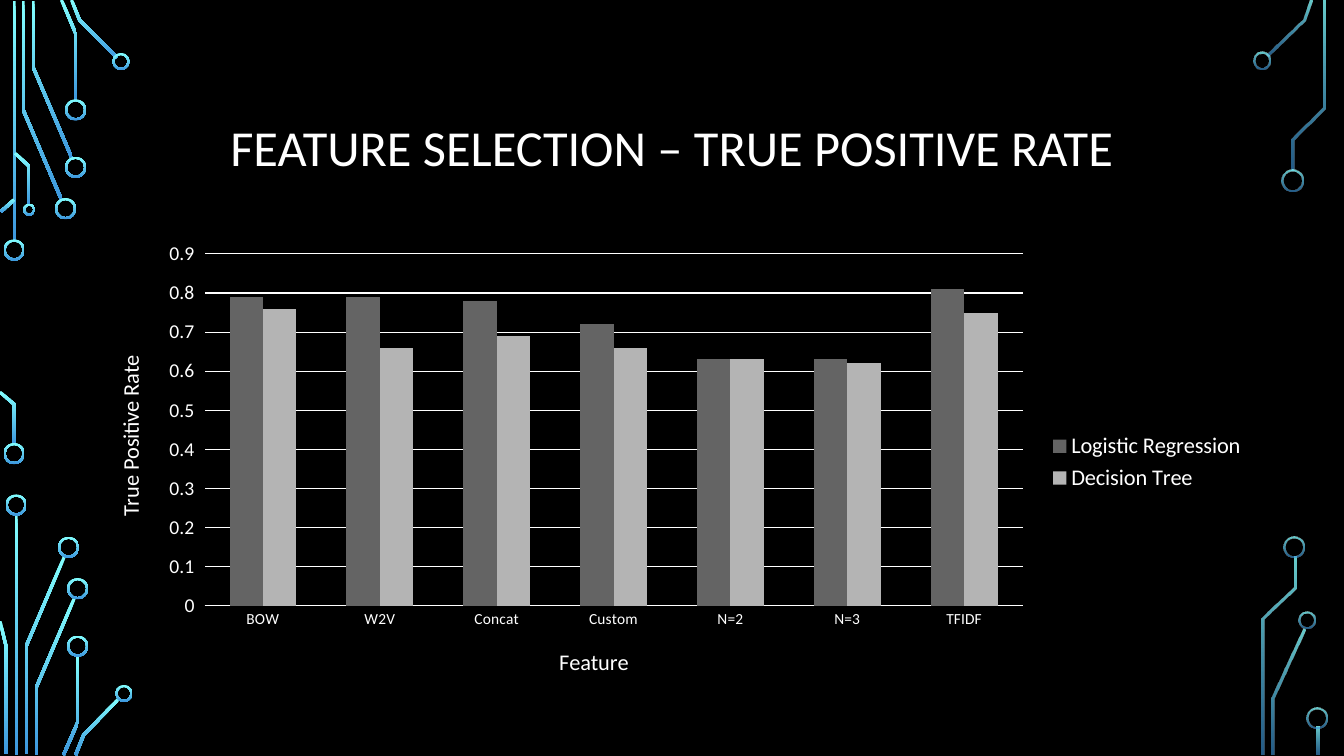
"""Build the true positive rate slide: a column chart framed by circuit traces."""
import math

import pptx
import pptx.chart.data
import pptx.dml.color
import pptx.enum.chart
import pptx.enum.shapes
import pptx.enum.text
import pptx.oxml
import pptx.oxml.ns
import pptx.util

Inches = pptx.util.Inches
Pt = pptx.util.Pt
RGBColor = pptx.dml.color.RGBColor

BLACK = RGBColor(0x00, 0x00, 0x00)
WHITE = RGBColor(0xFF, 0xFF, 0xFF)
CYAN = RGBColor(0x82, 0xFF, 0xFF)
BLUE = RGBColor(0x3D, 0x97, 0xDE)
DARK_GRAY = RGBColor(0x64, 0x64, 0x64)
LIGHT_GRAY = RGBColor(0xB4, 0xB4, 0xB4)
FONT = "Calibri"

TITLE = "FEATURE SELECTION – TRUE POSITIVE RATE"
FEATURES = ["BOW", "W2V", "Concat", "Custom", "N=2", "N=3", "TFIDF"]
RATES = [
    ("Logistic Regression", DARK_GRAY, [0.79, 0.79, 0.78, 0.72, 0.63, 0.63, 0.81]),
    ("Decision Tree", LIGHT_GRAY, [0.76, 0.66, 0.69, 0.66, 0.63, 0.62, 0.75]),
]

TRACE_WIDTH = 0.03
RING_WIDTH = 0.02
LEFT_TRACES = [
    [(0.14, 0.01), (0.14, 2.4)],
    [(0.23, 0.01), (0.23, 1.09), (0.61, 1.98)],
    [(0.33, 0.01), (0.33, 0.67), (0.71, 1.56)],
    [(0.61, 0), (0.75, 0.33), (0.75, 1)],
    [(0.71, 0), (0.79, 0.2), (1.16, 0.57)],
    [(0.01, 2.1), (0.14, 1.98)],
    [(0, 3.89), (0.14, 4.01), (0.14, 4.41)],
    [(0.15, 1.52), (0.29, 1.65), (0.29, 2.03)],
    [(0.16, 5.1), (0.16, 7.49)],
    [(0.26, 7.48), (0.26, 6.41), (0.64, 5.52)],
    [(0, 6.16), (0.06, 6.41), (0.06, 7.48)],
    [(0.36, 7.49), (0.36, 6.82), (0.74, 5.93)],
    [(0.63, 7.49), (0.77, 7.17), (0.77, 6.5)],
    [(0.75, 7.49), (0.83, 7.29), (1.18, 6.93)],
]
LEFT_RINGS = [
    (0.14, 2.48, 0.21), (0.14, 4.5, 0.21), (0.65, 2.07, 0.21), (0.75, 1.66, 0.21),
    (0.75, 1.09, 0.21), (1.2, 0.61, 0.17), (0.29, 2.08, 0.12), (0.16, 5.01, 0.21),
    (0.68, 5.43, 0.21), (0.77, 5.84, 0.21), (0.77, 6.41, 0.21), (1.23, 6.88, 0.17),
]
RIGHT_TRACES = [
    [(12.57, 0.55), (12.93, 0.2), (13, 0)],
    [(12.63, 7.49), (12.63, 6.93), (12.93, 6.24)],
    [(12.82, 1.69), (12.82, 1.38), (13.13, 1.07), (13.13, 0.01)],
    [(12.53, 7.49), (12.53, 6.14), (12.84, 5.83), (12.84, 5.52)],
    [(13.07, 7.49), (13.07, 7.21)],
]
RIGHT_RINGS = [
    (12.52, 0.6, 0.17), (12.82, 1.79, 0.21), (12.96, 6.15, 0.17),
    (12.83, 5.43, 0.21), (13.06, 7.12, 0.21),
]


def trace_outline(points, width):
    """Return the outline of a mitred band that follows the points."""
    normals = []
    for (x1, y1), (x2, y2) in zip(points, points[1:]):
        length = math.hypot(x2 - x1, y2 - y1)
        normals.append(((y1 - y2) / length, (x2 - x1) / length))
    near, far = [], []
    for (x, y), before, after in zip(points, normals[:1] + normals, normals + normals[-1:]):
        reach = width / 2 / (1 + before[0] * after[0] + before[1] * after[1])
        dx, dy = (before[0] + after[0]) * reach, (before[1] + after[1]) * reach
        near.append((Inches(x + dx), Inches(y + dy)))
        far.append((Inches(x - dx), Inches(y - dy)))
    return near + far[::-1]


def paint_circuit(shape, opacities):
    """Give a shape the vertical cyan to blue gradient."""
    shape.shadow.inherit = False
    shape.line.fill.background()
    shape.fill.gradient()
    shape.fill.gradient_angle = 270
    for stop, color, opacity in zip(shape.fill.gradient_stops, (CYAN, BLUE), opacities):
        stop.color.rgb = color
    if min(opacities) < 100:
        colors = shape._element.spPr.iter(pptx.oxml.ns.qn("a:srgbClr"))
        for color, opacity in zip(colors, opacities):
            alpha = pptx.oxml.parse_xml(f'<a:alpha {pptx.oxml.ns.nsdecls("a")} val="{opacity * 1000}"/>')
            color.append(alpha)


def add_circuit(slide, traces, rings, opacities):
    """Draw the traces and their ring ends."""
    for points in traces:
        outline = trace_outline(points, TRACE_WIDTH)
        builder = slide.shapes.build_freeform(*outline[0])
        builder.add_line_segments(outline[1:], close=True)
        paint_circuit(builder.convert_to_shape(), opacities)
    for x, y, size in rings:
        ring = slide.shapes.add_shape(
            pptx.enum.shapes.MSO_SHAPE.DONUT,
            Inches(x - size / 2), Inches(y - size / 2), Inches(size), Inches(size))
        ring.adjustments[0] = RING_WIDTH / size
        paint_circuit(ring, opacities)


def style_font(font, size):
    """Set white regular text of the given size."""
    font.name, font.size, font.bold = FONT, Pt(size), False
    font.color.rgb = WHITE


def set_layout(element, index, target="", **values):
    """Place a chart part by fractions of the chart area."""
    for old in element.findall(pptx.oxml.ns.qn("c:layout")):
        element.remove(old)
    modes = "".join(f'<c:{name}Mode val="edge"/>' for name in "xy")
    places = "".join(f'<c:{name} val="{value}"/>' for name, value in values.items())
    element.insert(index, pptx.oxml.parse_xml(
        f'<c:layout {pptx.oxml.ns.nsdecls("c")}><c:manualLayout>'
        f'{target}{modes}{places}</c:manualLayout></c:layout>'))


def style_axis(axis, title, label_size, x, y):
    """Format the labels and the title of an axis."""
    style_font(axis.tick_labels.font, label_size)
    axis.axis_title.text_frame.text = title
    style_font(axis.axis_title.text_frame.paragraphs[0].runs[0].font, 16)
    set_layout(axis.axis_title._element, 1, x=x, y=y)


def add_rate_chart(slide):
    """Add the clustered column chart."""
    data = pptx.chart.data.CategoryChartData()
    data.categories = FEATURES
    for name, color, values in RATES:
        data.add_series(name, values)
    chart = slide.shapes.add_chart(
        pptx.enum.chart.XL_CHART_TYPE.COLUMN_CLUSTERED,
        Inches(0.87), Inches(2.29), Inches(11.59), Inches(4.59), data).chart
    style_font(chart.font, 10)
    chart.has_title = False
    plot = chart.plots[0]
    plot.gap_width, plot.overlap, plot.vary_by_categories = 150, 0, False
    for series, (name, color, values) in zip(plot.series, RATES):
        series.format.fill.solid()
        series.format.fill.fore_color.rgb = color

    category_axis, value_axis = chart.category_axis, chart.value_axis
    style_axis(category_axis, "Feature", 11, 0.4, 0.89)
    style_axis(value_axis, "True Positive Rate", 14, 0.02, 0.26)
    value_axis.axis_title.text_frame._txBody.bodyPr.set("rot", "-5400000")
    category_axis.major_tick_mark = pptx.enum.chart.XL_TICK_MARK.NONE
    value_axis.major_tick_mark = pptx.enum.chart.XL_TICK_MARK.OUTSIDE
    value_axis.minimum_scale, value_axis.maximum_scale, value_axis.major_unit = 0, 0.9, 0.1
    value_axis.format.line.fill.background()
    for line in (category_axis.format.line, value_axis.major_gridlines.format.line):
        line.color.rgb, line.width = WHITE, Pt(0.75)

    chart.has_legend = True
    chart.legend.position = pptx.enum.chart.XL_LEGEND_POSITION.RIGHT
    chart.legend.include_in_layout = False
    style_font(chart.legend.font, 16)
    plot_area = chart._chartSpace.chart.plotArea
    set_layout(plot_area, 0, '<c:layoutTarget val="inner"/>', x=0.1, y=0.05, w=0.7, h=0.76)


def main():
    """Build and save the slide."""
    presentation = pptx.Presentation()
    presentation.slide_width, presentation.slide_height = Inches(13.33), Inches(7.5)
    slide = presentation.slides.add_slide(presentation.slide_layouts[6])
    slide.background.fill.solid()
    slide.background.fill.fore_color.rgb = BLACK
    add_circuit(slide, LEFT_TRACES, LEFT_RINGS, (100, 100))
    add_circuit(slide, RIGHT_TRACES, RIGHT_RINGS, (80, 60))

    title = slide.shapes.add_textbox(Inches(1.25), Inches(0.68), Inches(10.83), Inches(1.62))
    title.text_frame.word_wrap = True
    title.text_frame.vertical_anchor = pptx.enum.text.MSO_ANCHOR.MIDDLE
    title.text_frame.text = TITLE
    paragraph = title.text_frame.paragraphs[0]
    paragraph.alignment = pptx.enum.text.PP_ALIGN.CENTER
    paragraph.line_spacing = 0.9
    style_font(paragraph.runs[0].font, 36)
    add_rate_chart(slide)
    presentation.save("out.pptx")


if __name__ == "__main__":
    main()
